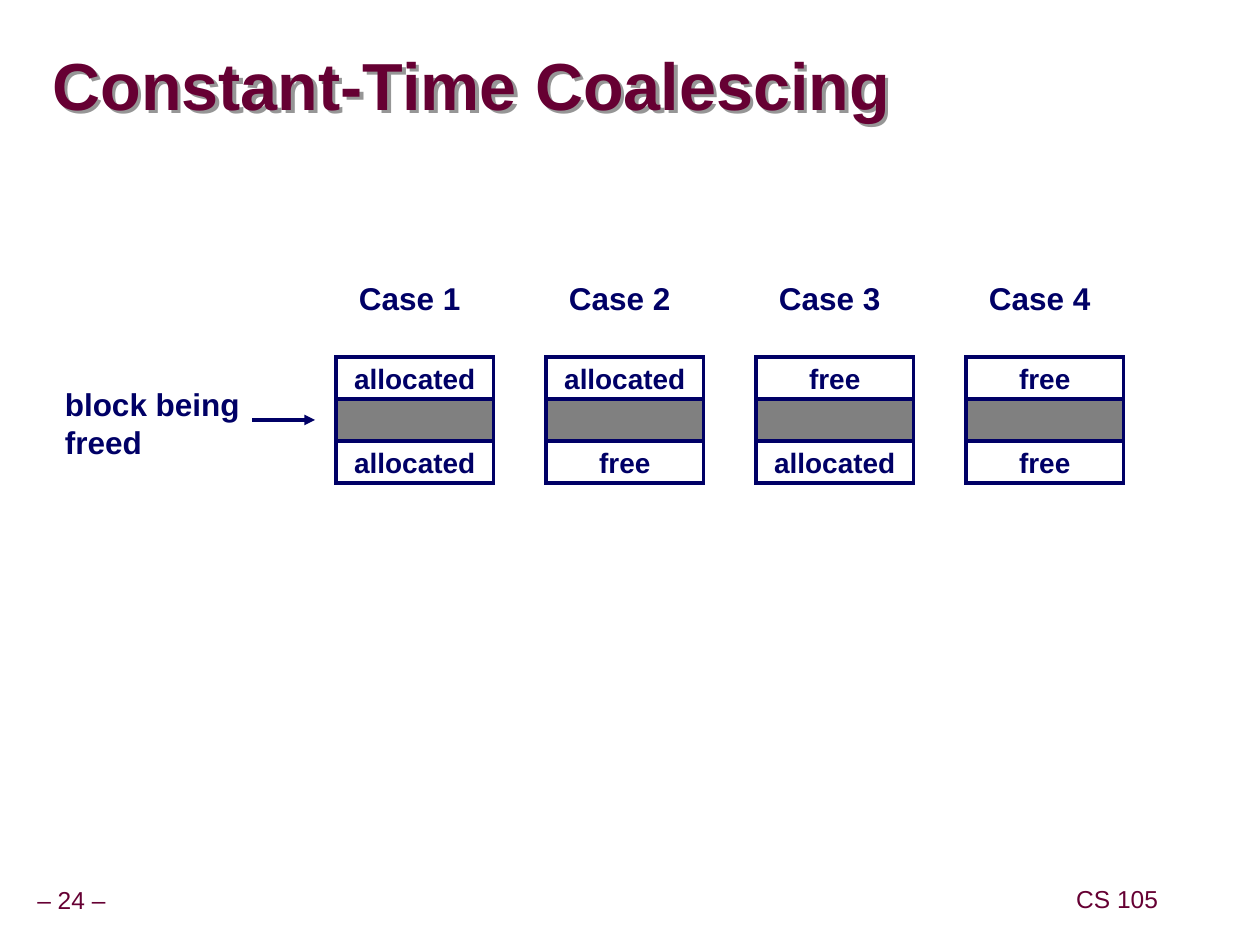
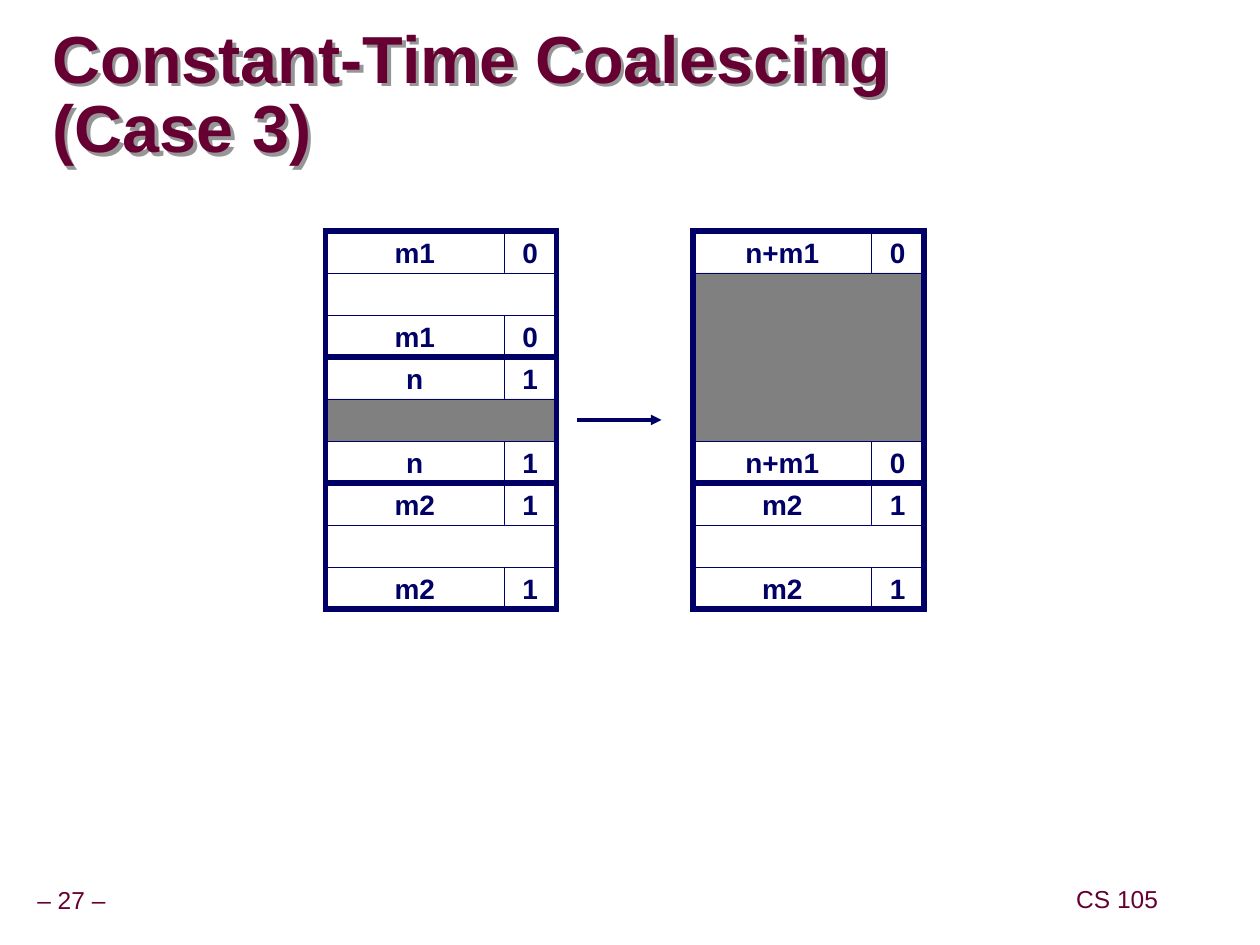
import pptx
import pptx.util
import pptx.dml.color
import pptx.enum.shapes
import pptx.enum.text
import pptx.oxml
from pptx.oxml.ns import nsdecls

# Content
COURSE = "CS 105"
CASES_TITLE = "Constant-Time Coalescing"
CASES = [
    ("Case 1", "allocated", "allocated"),
    ("Case 2", "allocated", "free"),
    ("Case 3", "free", "allocated"),
    ("Case 4", "free", "free"),
]
FREED_LABEL = ["block being", "freed"]
CASE3_TITLE = "Constant-Time Coalescing\v(Case 3)"

# Shared style
MAROON, NAVY, GRAY, WHITE, SHADOW = "660033", "000066", "808080", "FFFFFF", "969696"
FONT = "Arial"

# Heap blocks before and after: size, allocated flag, body colour, body rows
BEFORE = [("m1", "0", WHITE, 1), ("n", "1", GRAY, 1), ("m2", "1", WHITE, 1)]
AFTER = [("n+m1", "0", GRAY, 4), ("m2", "1", WHITE, 1)]

# Layout in grid units of a twelfth of an inch
ROW = 4
SIZE_W, FLAG_W = 17, 5
CASE_X, CASE_W, CASE_PITCH, CASE_Y = 32, 15, 20, 34
HEAP_Y, BEFORE_X, AFTER_X = 22, 31, 66
ARROW_Y = 40

ALIGN = pptx.enum.text.PP_ALIGN
ANCHOR = pptx.enum.text.MSO_ANCHOR


def grid(n):
    return pptx.util.Cm(2.54 * n / 12)


def rgb(color):
    return pptx.dml.color.RGBColor.from_string(color)


def element(tag, attributes="", inner=""):
    return pptx.oxml.parse_xml(
        f'<a:{tag} {nsdecls("a")} {attributes}>{inner}</a:{tag}>')


def write(s, lines, size, color, bold=True, align=ALIGN.LEFT,
          anchor=ANCHOR.TOP, margins=(0.25, 0.13), spacing=None, wrap=False):
    tf = s.text_frame
    tf.word_wrap = wrap
    tf.vertical_anchor = anchor
    tf.margin_left = tf.margin_right = pptx.util.Cm(margins[0])
    tf.margin_top = tf.margin_bottom = pptx.util.Cm(margins[1])
    for i, line in enumerate(lines):
        p = tf.paragraphs[0] if i == 0 else tf.add_paragraph()
        p.text = line
        p.alignment = align
        p.line_spacing = spacing
        p.font.name, p.font.size, p.font.bold = FONT, pptx.util.Pt(size), bold
        p.font.color.rgb = rgb(color)


def add_text(slide, x, y, w, h, lines, size, color, **style):
    s = slide.shapes.add_textbox(grid(x), grid(y), grid(w), grid(h))
    write(s, lines, size, color, **style)
    return s


def add_box(slide, x, y, w, h, fill, line_width, text=None):
    s = slide.shapes.add_shape(pptx.enum.shapes.MSO_SHAPE.RECTANGLE,
                               grid(x), grid(y), grid(w), grid(h))
    s.shadow.inherit = False
    if fill:
        s.fill.solid()
        s.fill.fore_color.rgb = rgb(fill)
    else:
        s.fill.background()
    s.line.color.rgb = rgb(NAVY)
    s.line.width = pptx.util.Pt(line_width)
    s.line._get_or_add_ln().append(element("miter", 'lim="800000"'))
    if text:
        write(s, [text], 16, NAVY, align=ALIGN.CENTER, anchor=ANCHOR.MIDDLE)


def add_arrow(slide, x1, x2, y):
    s = slide.shapes.add_connector(pptx.enum.shapes.MSO_CONNECTOR.STRAIGHT,
                                   grid(x1), grid(y), grid(x2), grid(y))
    s.line.color.rgb = rgb(NAVY)
    s.line.width = pptx.util.Pt(2)
    s.line._get_or_add_ln().append(element("tailEnd", 'type="triangle"'))
    s._element.spPr.append(element("effectLst"))


def add_slide(prs, number, title, x, y, w, h):
    slide = prs.slides.add_slide(prs.slide_layouts[6])
    # Footers
    footer = dict(bold=False, align=ALIGN.CENTER, anchor=ANCHOR.MIDDLE,
                  margins=(0.13, 0.13), spacing=0.9)
    add_text(slide, 1.2, 84, 11.2, 3.7, [f"– {number} –"], 14, MAROON, **footer)
    add_text(slide, 100.4, 83.9, 12, 3.7, [COURSE], 14, MAROON, **footer)
    # Title: the box has no fill, so its shadow falls from the letters
    s = add_text(slide, x, y, w, h, [title], 38, MAROON, anchor=ANCHOR.MIDDLE,
                 margins=(0, 0), spacing=0.87, wrap=True)
    s.fill.background()
    s._element.spPr.append(element(
        "effectLst", inner='<a:outerShdw dist="35921" dir="2700000" algn="ctr" '
        f'rotWithShape="0"><a:srgbClr val="{SHADOW}"/></a:outerShdw>'))
    return slide


def add_heap(slide, x, blocks):
    y = HEAP_Y
    frames = []
    for size, flag, body, body_rows in blocks:
        body_h = body_rows * ROW
        # Header and footer rows hold the same size and flag
        for tag_y in (y, y + ROW + body_h):
            add_box(slide, x, tag_y, SIZE_W, ROW, WHITE, 0.25, size)
            add_box(slide, x + SIZE_W, tag_y, FLAG_W, ROW, WHITE, 0.25, flag)
        add_box(slide, x, y + ROW, SIZE_W + FLAG_W, body_h, body, 0.25)
        frames.append((y, body_h + 2 * ROW))
        y += body_h + 2 * ROW
    # Heavy frames on top
    for frame_y, frame_h in frames:
        add_box(slide, x, frame_y, SIZE_W + FLAG_W, frame_h, None, 3)


def build_cases(prs):
    slide = add_slide(prs, 24, CASES_TITLE, 5, 4.5, 92.5, 8)
    for i, (name, above, below) in enumerate(CASES):
        x = CASE_X + i * CASE_PITCH
        add_text(slide, x + 1, 26, 14, 4.8, [name], 18, NAVY, wrap=True)
        add_box(slide, x, CASE_Y + ROW, CASE_W, ROW, GRAY, 2)
        add_box(slide, x, CASE_Y, CASE_W, ROW, WHITE, 2, above)
        add_box(slide, x, CASE_Y + 2 * ROW, CASE_W, ROW, WHITE, 2, below)
    add_text(slide, 5, 36.1, 19.5, 8.4, FREED_LABEL, 18, NAVY, wrap=True)
    add_arrow(slide, 24, 30, ARROW_Y)


def build_case3(prs):
    slide = add_slide(prs, 27, CASE3_TITLE, 5, 5.5, 110, 7.5)
    add_heap(slide, BEFORE_X, BEFORE)
    add_heap(slide, AFTER_X, AFTER)
    add_arrow(slide, 55, 63, ARROW_Y)


def main():
    prs = pptx.Presentation()
    prs.slide_width, prs.slide_height = pptx.util.Cm(25.4), pptx.util.Cm(19.05)
    build_cases(prs)
    build_case3(prs)
    prs.save("out.pptx")


if __name__ == "__main__":
    main()
